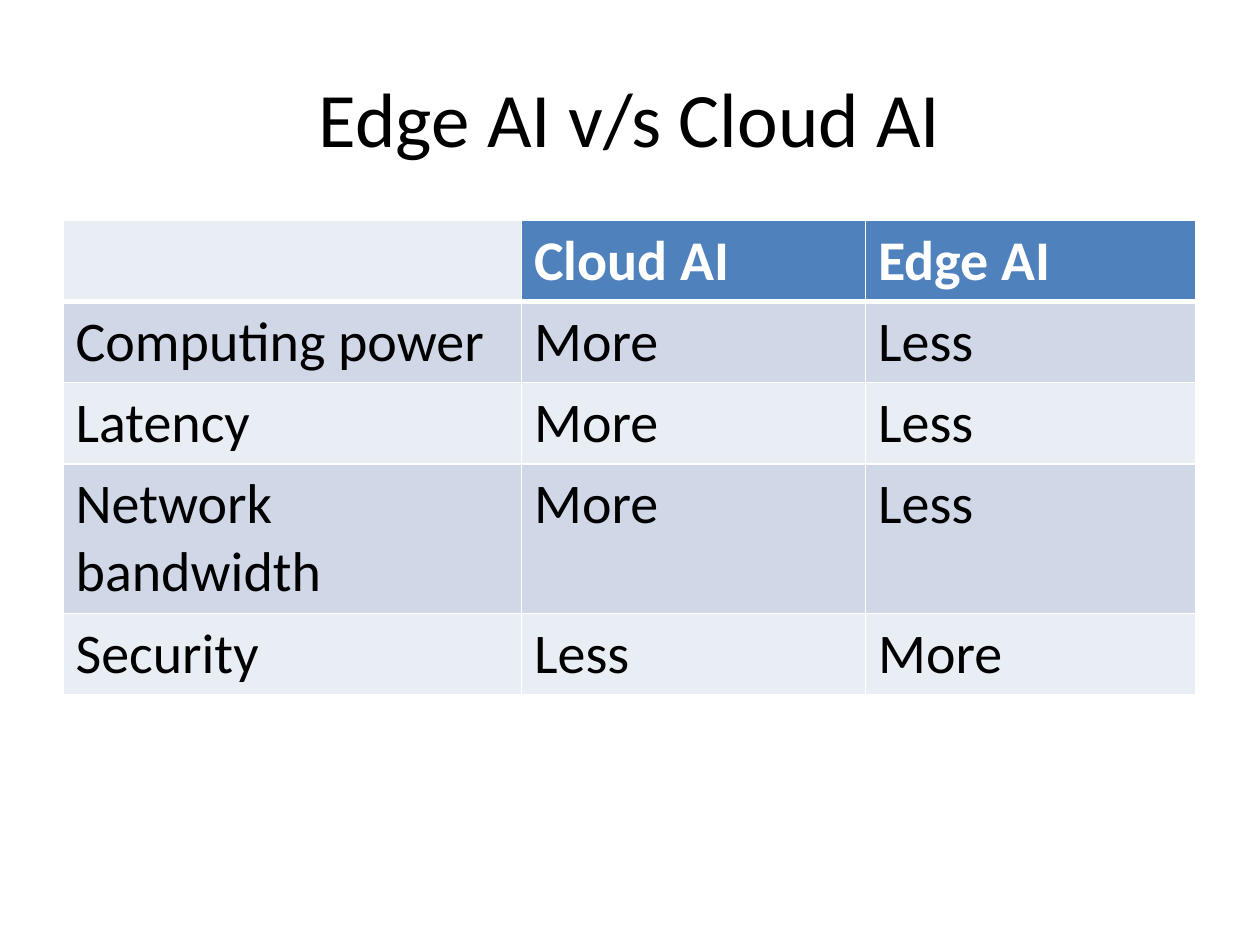
from lxml.etree import SubElement
from pptx import Presentation
from pptx.dml.color import RGBColor as Color
from pptx.enum.text import MSO_ANCHOR as Anchor, PP_ALIGN as Align
from pptx.oxml.ns import qn
from pptx.util import Inches, Pt

COLORS = {
    "text": "000000",
    "white": "FFFFFF",
    "header": "4F81BD",
    "dark band": "D0D8E8",
    "light band": "E9EDF4",
}
COMPARISON = [
    ["", "Cloud AI", "Edge AI"],
    ["Computing power", "More", "Less"],
    ["Latency", "More", "Less"],
    ["Network bandwidth", "More", "Less"],
    ["Security", "Less", "More"],
]
COLUMN_WIDTHS = [3.64, 2.73, 2.62]
ROW_HEIGHT = 0.41  # minimum; rows grow with their text
TITLE_LAYOUT = 5


class SlideBuilder:
    """Holds the text style and the slide being built."""

    font = "Calibri"
    title_size = 44
    table_size = 32

    def __init__(self, deck):
        self.deck = deck
        self.page = deck.slides.add_slide(deck.slide_layouts[TITLE_LAYOUT])

    def place(self, left, top, width, height):
        """Turn shares of the slide's size into lengths."""
        across, down = self.deck.slide_width, self.deck.slide_height
        return (round(left * across), round(top * down),
                round(width * across), round(height * down))

    def add_text(self, para, text, size, color, bold=False):
        span = para.add_run()
        span.text = text
        span.font.name = self.font
        span.font.size = Pt(size)
        span.font.bold = bold
        span.font.color.rgb = Color.from_string(COLORS[color])

    def title(self, text, area):
        box = self.page.shapes.title
        box.left, box.top, box.width, box.height = self.place(*area)
        box.text_frame.vertical_anchor = Anchor.MIDDLE
        para = box.text_frame.paragraphs[0]
        para.alignment = Align.CENTER
        self.add_text(para, text, self.title_size, "text")

    def borders(self, cell, widths):
        """Draw white cell borders; call before the fill is set."""
        properties = cell._tc.get_or_add_tcPr()
        for side, width in widths.items():
            line = SubElement(properties, qn(f"a:ln{side}"), w=str(Pt(width)))
            fill = SubElement(line, qn("a:solidFill"))
            SubElement(fill, qn("a:srgbClr"), val=COLORS["white"])

    def table(self, rows, widths, area):
        frame = self.page.shapes.add_table(len(rows), len(widths), *self.place(*area))
        grid = frame.table
        for column, width in zip(grid.columns, widths):
            column.width = Inches(width)
        for r, row in enumerate(rows):
            grid.rows[r].height = Inches(ROW_HEIGHT)
            for c, text in enumerate(row):
                self.cell(grid.cell(r, c), text, r)

    def cell(self, cell, text, r):
        is_header = r == 0 and text != ""
        band = "header" if is_header else ("light band", "dark band")[r % 2]
        # The rule under the header row is heavier than the others
        self.borders(cell, {"L": 1, "R": 1,
                            "T": 3 if r == 1 else 1,
                            "B": 3 if r == 0 else 1})
        cell.fill.solid()
        cell.fill.fore_color.rgb = Color.from_string(COLORS[band])
        if text:
            self.add_text(cell.text_frame.paragraphs[0], text, self.table_size,
                          "white" if is_header else "text", bold=is_header)


def main():
    deck = Presentation()
    deck.slide_width, deck.slide_height = Inches(10), Inches(7.5)
    builder = SlideBuilder(deck)

    # Heading
    builder.title("Edge AI v/s Cloud AI", (0.05, 0.04, 0.9, 1 / 6))

    # Comparison table
    table_height = ROW_HEIGHT * len(COMPARISON) / 7.5
    builder.table(COMPARISON, COLUMN_WIDTHS, (0.05, 7 / 30, 0.9, table_height))

    deck.save("out.pptx")


if __name__ == "__main__":
    main()
